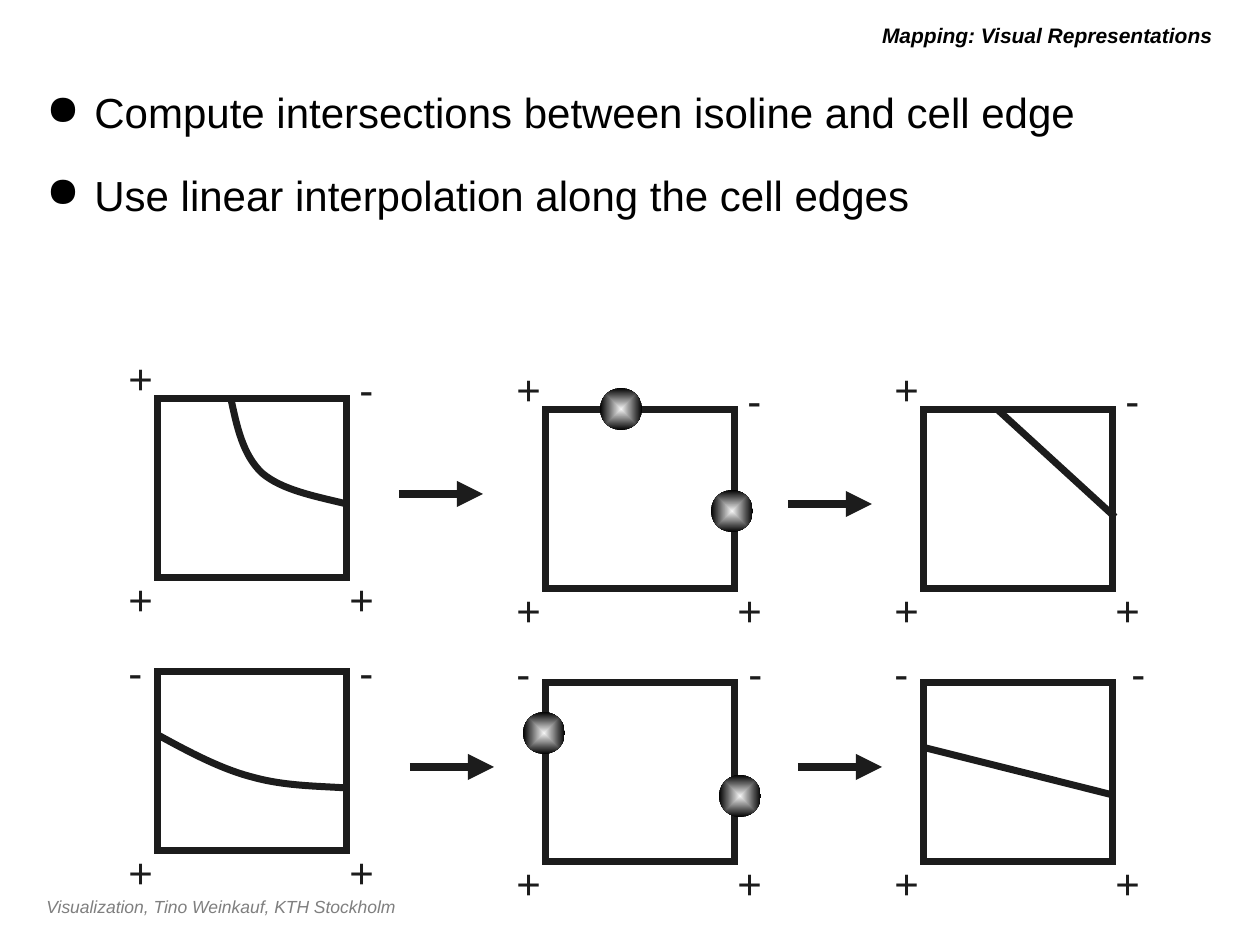
"""Build the slide on isoline and cell edge intersections."""
from dataclasses import dataclass

import lxml.etree
import pptx
import pptx.dml.color
import pptx.enum.shapes
import pptx.enum.text
import pptx.oxml.ns
import pptx.util

EMU_PER_PX = 914400 / 126
FONT = "Arial"
COLORS = {"ink": "1C1C1C", "text": "000000", "footer": "7F7F7F",
          "dot_center": "F5F5F5", "dot_edge": "000000"}
CELL_WIDTH, CELL_HEIGHT = 189, 179
DOT_SIZE = 42
ARROW_LENGTH = 84
SIGN_WIDTHS = {"+": 50, "-": 39}
SIGN_HEIGHT = 63
PLUS_RISE = 53
BULLET_INDENT = 48


@dataclass(frozen=True)
class Cell:
    left: int
    top: int
    top_left_sign: str
    minus_rise: int = 42
    right_sign_offset: int = CELL_WIDTH


@dataclass(frozen=True)
class Segment:
    start: tuple[int, int]
    end: tuple[int, int]
    width: int = 4
    arrow: bool = False


CELLS = [
    Cell(158, 399, "+"), Cell(546, 410, "+"), Cell(924, 410, "+"),
    Cell(158, 672, "-", minus_rise=32),
    Cell(546, 683, "-", right_sign_offset=190),
    Cell(924, 683, "-", right_sign_offset=195),
]
CURVES = [
    [(231, 399), (237, 427), (243, 455), (262, 473), (282, 490), (314, 496), (347, 504)],
    [(158, 735), (189, 752), (221, 769), (252, 777), (284, 786), (315, 786), (347, 788)],
]
DOTS = [(711, 490), (600, 388), (719, 775), (523, 712)]
ISOLINES = [Segment((998, 410), (1115, 517)), Segment((922, 747), (1113, 795))]
ARROWS = [Segment((left, top), (left + ARROW_LENGTH, top), 5, True)
          for left, top in [(399, 494), (788, 504), (410, 767), (798, 767)]]
BULLETS = ["Compute intersections between isoline and cell edge",
           "Use linear interpolation along the cell edges"]


def px(value: int) -> int:
    return round(value * EMU_PER_PX)


def rgb(name: str) -> pptx.dml.color.RGBColor:
    return pptx.dml.color.RGBColor.from_string(COLORS[name])


def add_xml(parent, tag: str, **attributes: str):
    return lxml.etree.SubElement(parent, pptx.oxml.ns.qn(tag), attributes)


def set_line(shape, width: int) -> None:
    shape.line.color.rgb = rgb("ink")
    shape.line.width = pptx.util.Pt(width)


def add_text_box(slide, left: int, top: int, width: int, height: int, wrap: bool = True):
    shape = slide.shapes.add_textbox(px(left), px(top), px(width), px(height))
    shape.text_frame.word_wrap = wrap
    return shape.text_frame


def add_run(paragraph, text: str, size: int, color: str,
            bold: bool = False, italic: bool = False) -> None:
    run = paragraph.add_run()
    run.text = text
    run.font.name = FONT
    run.font.size = pptx.util.Pt(size)
    run.font.color.rgb = rgb(color)
    run.font.bold = bold
    run.font.italic = italic


def add_sign(slide, sign: str, left: int, top: int) -> None:
    frame = add_text_box(slide, left, top, SIGN_WIDTHS[sign], SIGN_HEIGHT, wrap=False)
    frame.auto_size = pptx.enum.text.MSO_AUTO_SIZE.SHAPE_TO_FIT_TEXT
    add_run(frame.paragraphs[0], sign, 24, "ink")


def add_cell(slide, cell: Cell) -> None:
    shape = slide.shapes.add_shape(
        pptx.enum.shapes.MSO_SHAPE.RECTANGLE,
        px(cell.left), px(cell.top), px(CELL_WIDTH), px(CELL_HEIGHT))
    shape.shadow.inherit = False
    shape.fill.background()
    set_line(shape, 4)
    add_xml(shape.element.xpath(".//a:ln")[0], "a:miter", lim="800000")
    rise = PLUS_RISE if cell.top_left_sign == "+" else cell.minus_rise
    add_sign(slide, cell.top_left_sign, cell.left - 42, cell.top - rise)
    add_sign(slide, "-", cell.left + cell.right_sign_offset, cell.top - cell.minus_rise)
    for offset in (-42, 179):
        add_sign(slide, "+", cell.left + offset, cell.top + 168)


def add_curve(slide, points: list[tuple[int, int]]) -> None:
    builder = slide.shapes.build_freeform(*points[0], scale=EMU_PER_PX)
    builder.add_line_segments(points[1:], close=False)
    shape = builder.convert_to_shape()
    shape.shadow.inherit = False
    shape.fill.background()
    set_line(shape, 4)
    outline = shape.element.xpath(".//a:path")[0]
    segments = outline.xpath("./a:lnTo")
    for index in range(0, len(segments), 3):
        bezier = add_xml(outline, "a:cubicBezTo")
        for segment in segments[index:index + 3]:
            bezier.append(segment[0])
            outline.remove(segment)


def add_dot(slide, left: int, top: int) -> None:
    shape = slide.shapes.add_shape(
        pptx.enum.shapes.MSO_SHAPE.OVAL, px(left), px(top), px(DOT_SIZE), px(DOT_SIZE))
    shape.shadow.inherit = False
    shape.line.fill.background()
    shape.fill.gradient()
    for stop, position, color in zip(shape.fill.gradient_stops, (0, 1), ("dot_center", "dot_edge")):
        stop.position = position
        stop.color.rgb = rgb(color)
    gradient = shape.element.xpath(".//a:gradFill")[0]
    gradient.remove(gradient.xpath("./a:lin")[0])
    focus = add_xml(gradient, "a:path", path="shape")
    add_xml(focus, "a:fillToRect", l="50000", t="50000", r="50000", b="50000")


def add_segment(slide, segment: Segment) -> None:
    connector = slide.shapes.add_connector(
        pptx.enum.shapes.MSO_CONNECTOR.STRAIGHT,
        *map(px, segment.start + segment.end))
    set_line(connector, segment.width)
    if segment.arrow:
        add_xml(connector.element.xpath(".//a:ln")[0], "a:tailEnd", type="triangle")
    add_xml(connector.element.spPr, "a:effectLst")


def add_texts(slide) -> None:
    footer = add_text_box(slide, 34, 890, 931, 34)
    add_run(footer.paragraphs[0], "Visualization, Tino Weinkauf, KTH Stockholm",
            10, "footer", italic=True)

    title = add_text_box(slide, 199, 16, 1026, 39)
    title.vertical_anchor = pptx.enum.text.MSO_ANCHOR.MIDDLE
    title.paragraphs[0].alignment = pptx.enum.text.PP_ALIGN.RIGHT
    add_run(title.paragraphs[0], "Mapping: Visual Representations",
            12, "text", bold=True, italic=True)

    body = add_text_box(slide, 34, 76, 1191, 794)
    body.margin_top = px(11)
    for index, text in enumerate(BULLETS):
        paragraph = body.add_paragraph() if index else body.paragraphs[0]
        properties = paragraph._p.get_or_add_pPr()
        properties.set("marL", str(px(BULLET_INDENT)))
        properties.set("indent", str(-px(BULLET_INDENT)))
        add_xml(properties, "a:buChar", char="●")
        paragraph.space_before = pptx.util.Pt(18.5 if index else 0)
        add_run(paragraph, text, 24, "text")


def main() -> None:
    presentation = pptx.Presentation()
    presentation.slide_width = px(1260)
    presentation.slide_height = px(945)
    slide = presentation.slides.add_slide(presentation.slide_layouts[6])
    for cell in CELLS:
        add_cell(slide, cell)
    for points in CURVES:
        add_curve(slide, points)
    for left, top in DOTS:
        add_dot(slide, left, top)
    for segment in ISOLINES + ARROWS:
        add_segment(slide, segment)
    add_texts(slide)
    presentation.save("out.pptx")


if __name__ == "__main__":
    main()
